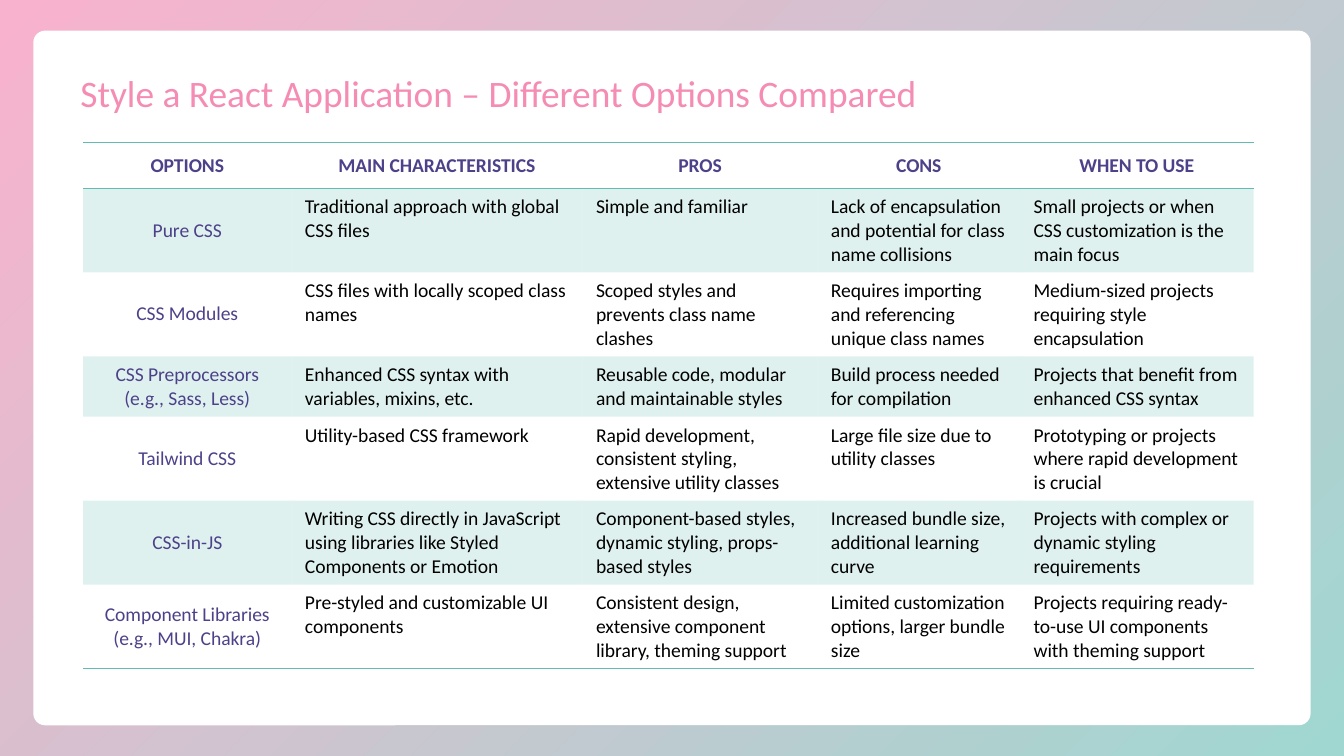
from pptx import Presentation
from pptx import util as u
from pptx.dml.color import RGBColor
from pptx.enum import shapes, text
from pptx.oxml import parse_xml
from pptx.oxml.ns import nsdecls, qn

TEAL, PURPLE, PINK = "61BCB3", "4D4289", "F58CB4"
BLACK, WHITE = "000000", "FFFFFF"

COLUMN_WIDTHS = [3.94, 5.5, 4.44, 3.83, 4.41]
HEADER_HEIGHT, ROW_HEIGHT = 0.87, 1.04
OPTIONS = [
    ["OPTIONS", "MAIN CHARACTERISTICS", "PROS", "CONS", "WHEN TO USE"],
    ["Pure CSS", "Traditional approach with global CSS files",
     "Simple and familiar",
     "Lack of encapsulation and potential for class name collisions",
     "Small projects or when CSS customization is the main focus"],
    ["CSS Modules", "CSS files with locally scoped class names",
     "Scoped styles and prevents class name clashes",
     "Requires importing and referencing unique class names",
     "Medium-sized projects requiring style encapsulation"],
    ["CSS Preprocessors\n(e.g., Sass, Less)",
     "Enhanced CSS syntax with variables, mixins, etc.",
     "Reusable code, modular and maintainable styles",
     "Build process needed for compilation",
     "Projects that benefit from enhanced CSS syntax"],
    ["Tailwind CSS", "Utility-based CSS framework",
     "Rapid development, consistent styling, extensive utility classes",
     "Large file size due to utility classes",
     "Prototyping or projects where rapid development is crucial"],
    ["CSS-in-JS",
     "Writing CSS directly in JavaScript using libraries like Styled "
     "Components or Emotion",
     "Component-based styles, dynamic styling, props-based styles",
     "Increased bundle size, additional learning curve",
     "Projects with complex or dynamic styling requirements"],
    ["Component Libraries\n(e.g., MUI, Chakra)",
     "Pre-styled and customizable UI components",
     "Consistent design, extensive component library, theming support",
     "Limited customization options, larger bundle size",
     "Projects requiring ready-to-use UI components with theming support"],
]


def color(value):
    """Turn a hex string into a colour."""
    return RGBColor.from_string(value)


def make_gradient(holder, start, end):
    """Swap the solid fill in holder for a circular gradient."""
    gradient = parse_xml(
        f'<a:gradFill {nsdecls("a")} rotWithShape="1"><a:gsLst>'
        f'<a:gs pos="0"><a:srgbClr val="{start}"/></a:gs>'
        f'<a:gs pos="100000"><a:srgbClr val="{end}"/></a:gs></a:gsLst>'
        '<a:path path="circle"><a:fillToRect l="100000" t="100000"/></a:path>'
        '</a:gradFill>')
    holder.replace(holder.find(qn("a:solidFill")), gradient)


def write(frame, content, size=10.5, ink=BLACK, bold=False, align=None,
          font="Calibri"):
    """Write one paragraph per line of content and return the spans."""
    spans = []
    for index, line in enumerate(content.split("\n")):
        para = frame.add_paragraph() if index else frame.paragraphs[0]
        para.alignment = align
        span = para.add_run()
        span.text = line
        span.font.name, span.font.size, span.font.bold = font, u.Pt(size), bold
        span.font.color.rgb = color(ink)
        spans.append(span)
    return spans


def tint(cell, value, percent):
    """Fill a cell with a partly transparent colour."""
    cell.fill.solid()
    cell.fill.fore_color.rgb = color(value)
    shade = cell.fill._xPr.find(".//" + qn("a:srgbClr"))
    shade.append(parse_xml(
        f'<a:alpha {nsdecls("a")} val="{percent * 1000}"/>'))


def add_borders(cell, sides, value=TEAL, width=1):
    """Draw the named borders of a cell: T for top, B for bottom."""
    for index, side in enumerate(sides):
        cell._tc.get_or_add_tcPr().insert(index, parse_xml(
            f'<a:ln{side} {nsdecls("a")} w="{u.Pt(width)}"><a:solidFill>'
            f'<a:srgbClr val="{value}"/></a:solidFill></a:ln{side}>'))


class SlideBuilder:
    """Holds the current slide and adds styled elements to it."""

    def __init__(self, page):
        """Keep the slide to draw on."""
        self.page = page

    def background(self, start, end):
        """Give the slide a gradient background."""
        self.page.background.fill.solid()
        make_gradient(self.page.element.find(".//" + qn("p:bgPr")), start, end)

    def card(self, left, top, width, height, fill=WHITE, radius=0.017):
        """Add a plain rounded panel."""
        panel = self.page.shapes.add_shape(
            shapes.MSO_SHAPE.ROUNDED_RECTANGLE,
            *map(u.Cm, (left, top, width, height)))
        panel.adjustments[0] = radius
        panel.shadow.inherit = False
        panel.fill.solid()
        panel.fill.fore_color.rgb = color(fill)
        panel.line.fill.background()

    def title(self, content, left, top, width, height):
        """Add the heading with gradient lettering."""
        box = self.page.shapes.add_textbox(
            *map(u.Cm, (left, top, width, height)))
        frame = box.text_frame
        frame.word_wrap = True
        frame.vertical_anchor = text.MSO_ANCHOR.MIDDLE
        for span in write(frame, content, size=20, ink=PINK):
            make_gradient(span._r.rPr, PINK, PURPLE)

    def table(self, rows, left, top, widths):
        """Add the comparison table with banded rows."""
        heights = [HEADER_HEIGHT] + [ROW_HEIGHT] * (len(rows) - 1)
        holder = self.page.shapes.add_table(
            len(rows), len(widths),
            *map(u.Cm, (left, top, sum(widths), sum(heights))))
        grid = holder.table
        grid.first_row = grid.horz_banding = False
        style = holder._element.find(".//" + qn("a:tableStyleId"))
        style.text = "{2D5ABB26-0587-4C30-8999-92F81FD0307C}"
        for column, width in zip(grid.columns, widths):
            column.width = u.Cm(width)
        for row, height in zip(grid.rows, heights):
            row.height = u.Cm(height)
        for r, values in enumerate(rows):
            for c, value in enumerate(values):
                self.fill_cell(grid.cell(r, c), value, r, c, len(rows) - 1)

    def fill_cell(self, cell, value, r, c, last):
        """Write and style one cell according to its place."""
        label = r == 0 or c == 0
        if label:
            cell.vertical_anchor = text.MSO_ANCHOR.MIDDLE
        write(cell.text_frame, value, bold=r == 0,
              ink=PURPLE if label else BLACK,
              align=text.PP_ALIGN.CENTER if label else None)
        if r % 2:
            tint(cell, TEAL, 20)
        else:
            cell.fill.background()
        add_borders(cell, {0: "TB", last: "B"}.get(r, ""))


deck = Presentation()
deck.slide_width, deck.slide_height = u.Cm(25.4), u.Cm(14.29)
builder = SlideBuilder(deck.slides.add_slide(deck.slide_layouts[6]))
builder.background("A0D7D1", "F9B2CD")
builder.card(0.63, 0.58, 24.14, 13.13)
builder.title("Style a React Application – Different Options Compared",
              1.27, 1, 22.86, 1.5)
builder.table(OPTIONS, 1.57, 2.69, COLUMN_WIDTHS)
deck.save("out.pptx")
